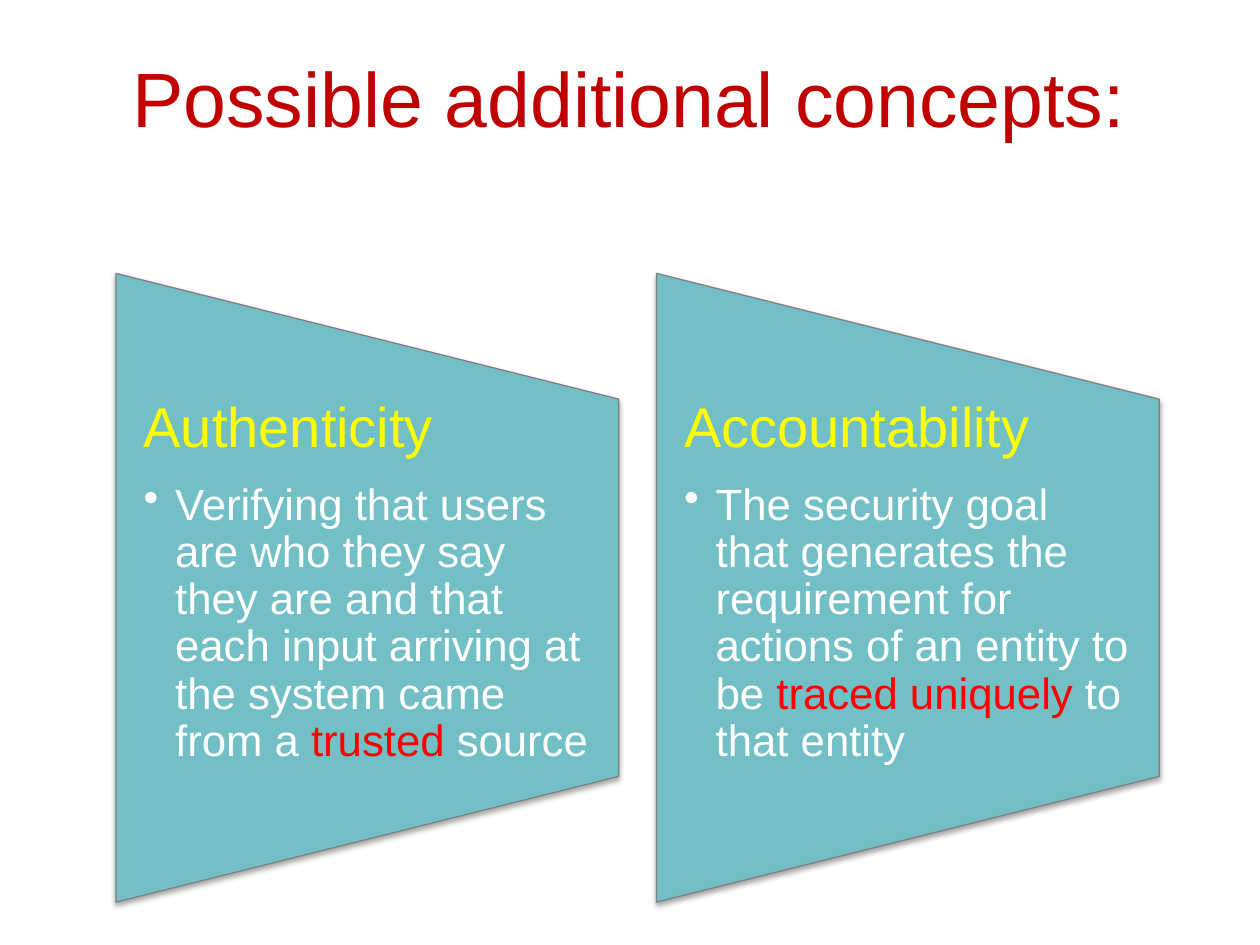
from pptx import Presentation
from pptx.util import Inches, Pt
from pptx.dml.color import RGBColor
from pptx.enum.shapes import MSO_SHAPE
from pptx.enum.text import PP_ALIGN, MSO_ANCHOR
from pptx.oxml import parse_xml
from pptx.oxml.ns import nsdecls
from lxml.etree import SubElement
from pptx.oxml.ns import qn

# Content: heading, then runs of (text, colour name)
TITLE = "Possible additional concepts:"
CARDS = [
    ("Authenticity", [
        ("Verifying that users are who they say they are and that each "
         "input arriving at the system came from a ", "body"),
        ("trusted ", "key"),
        ("source", "body")]),
    ("Accountability", [
        ("The security goal that generates the requirement for actions "
         "of an entity to be ", "body"),
        ("traced uniquely ", "key"),
        ("to that entity", "body")]),
]

THEME = {
    "font": "Arial",
    "size": {"title": 44, "head": 32, "body": 25},
    "colour": {"title": "C00000", "head": "FFFF00", "body": "FFFFFF",
               "key": "FF0000", "fill": "72BFC5", "line": "808080"},
}

# Card grid: upright size, first left edge, step to the next card
WIDE, HIGH = 3.99, 4.99
LEFT, TOP, STEP = 0.92, 2.17, 4.29
INSET = 0.22


def paint(name):
    return RGBColor.from_string(THEME["colour"][name])


def write(para, runs, size, align=PP_ALIGN.LEFT, line=None, after=None,
          bullet=False):
    """Fill a paragraph with (text, colour name) runs."""
    para.alignment = align
    if line:
        para.line_spacing = line
    if after is not None:
        para.space_after = Pt(after)
    if bullet:
        para.level = 1
        props = para._p.get_or_add_pPr()
        props.set("marL", str(Inches(0.25)))
        props.set("indent", str(-Inches(0.25)))
        SubElement(props, qn("a:buChar")).set("char", "•")
    for text, hue in runs:
        run = para.add_run()
        run.text = text
        run.font.name = THEME["font"]
        run.font.size = Pt(THEME["size"][size])
        run.font.color.rgb = paint(hue)


def shade(shape):
    """Give a shape a soft shadow that falls straight down."""
    shape._element.spPr.append(parse_xml(
        f'<a:effectLst {nsdecls("a")}><a:outerShdw blurRad="{Pt(3.1)}" '
        f'dist="{Pt(1.8)}" dir="5400000" rotWithShape="0">'
        '<a:srgbClr val="000000"><a:alpha val="35000"/></a:srgbClr>'
        '</a:outerShdw></a:effectLst>'))


def add_card(slide, left, head, runs):
    # Panel: a wide trapezoid turned on its side about its centre
    turn = (HIGH - WIDE) / 2
    panel = slide.shapes.add_shape(
        MSO_SHAPE.FLOWCHART_MANUAL_OPERATION, Inches(left - turn),
        Inches(TOP + turn), Inches(HIGH), Inches(WIDE))
    panel.rotation = 270
    panel.fill.solid()
    panel.fill.fore_color.rgb = paint("fill")
    panel.line.color.rgb = paint("line")
    panel.line.width = Pt(0.75)
    shade(panel)

    # Text: the middle three fifths of the panel
    box = slide.shapes.add_textbox(
        Inches(left), Inches(TOP + HIGH / 5), Inches(WIDE),
        Inches(HIGH * 3 / 5))
    frame = box.text_frame
    frame.word_wrap = True
    frame.margin_left = frame.margin_right = Inches(INSET)
    frame.margin_top = frame.margin_bottom = 0
    write(frame.paragraphs[0], [(head, "head")], "head", line=0.9, after=13)
    write(frame.add_paragraph(), runs, "body", line=0.9, after=4, bullet=True)


def main():
    deck = Presentation()
    deck.slide_width, deck.slide_height = Inches(10), Inches(7.5)
    slide = deck.slides.add_slide(deck.slide_layouts[5])

    # Title
    title = slide.shapes.title
    title.left, title.top = Inches(0.85), Inches(0.07)
    title.width, title.height = Inches(8.29), Inches(1.4)
    title.text_frame.vertical_anchor = MSO_ANCHOR.MIDDLE
    write(title.text_frame.paragraphs[0], [(TITLE, "title")], "title",
          align=PP_ALIGN.CENTER)

    # Cards
    for i, (head, runs) in enumerate(CARDS):
        add_card(slide, LEFT + i * STEP, head, runs)
    deck.save("out.pptx")


if __name__ == "__main__":
    main()
